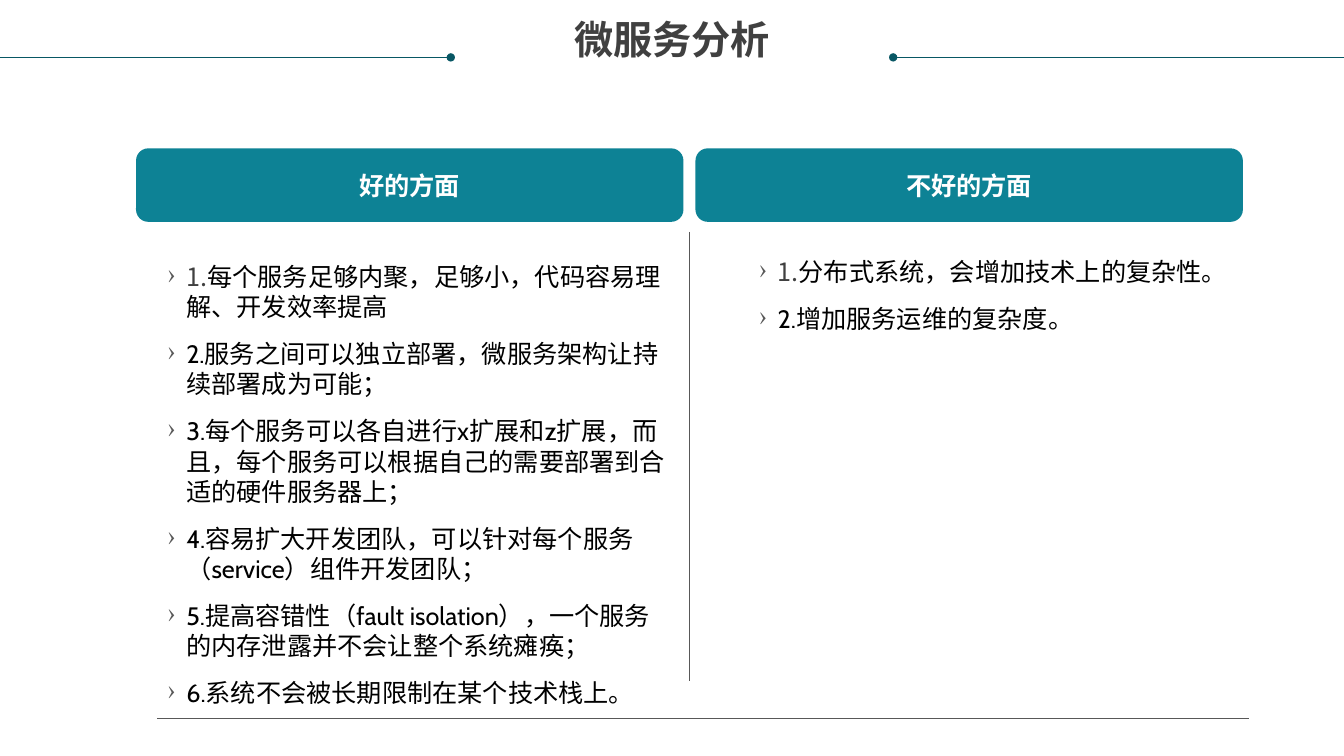
from lxml import etree
from pptx import Presentation
from pptx.dml.color import RGBColor
from pptx.enum.shapes import MSO_CONNECTOR, MSO_SHAPE
from pptx.enum.text import MSO_ANCHOR, PP_ALIGN
from pptx.oxml.ns import qn
from pptx.util import Pt

STRAIGHT = MSO_CONNECTOR.STRAIGHT
ROUND_RECT = MSO_SHAPE.ROUNDED_RECTANGLE
MIDDLE, CENTER = MSO_ANCHOR.MIDDLE, PP_ALIGN.CENTER

TEAL = RGBColor(0x0D, 0x82, 0x95)
DARK_TEAL = RGBColor(0x08, 0x57, 0x64)
GRAY = RGBColor(0x58, 0x58, 0x58)
DARK_GRAY = RGBColor(0x40, 0x40, 0x40)
BLACK = RGBColor(0, 0, 0)
WHITE = RGBColor(0xFF, 0xFF, 0xFF)

CJK_FONT, BODY_FONT = "Noto Sans CJK SC", "Cabin"
SLIDE_W, SLIDE_H = 960, 540
RULE_Y, RULE_W = 41, 322
HEADER_X, HEADER_Y, HEADER_W, HEADER_H = 97.2, 106, 391, 52.5
HEADER_STEP = 399.6
BODY_Y = 183

HEADERS = ["好的方面", "不好的方面"]
GOOD = [
    "每个服务足够内聚，足够小，代码容易理解、开发效率提高",
    "服务之间可以独立部署，微服务架构让持续部署成为可能；",
    "每个服务可以各自进行x扩展和z扩展，而且，每个服务可以根据自己的需要部署到合适的硬件服务器上；",
    "容易扩大开发团队，可以针对每个服务（service）组件开发团队；",
    "提高容错性（fault isolation），一个服务的内存泄露并不会让整个系统瘫痪；",
    "系统不会被长期限制在某个技术栈上。",
]
BAD = ["分布式系统，会增加技术上的复杂性。", "增加服务运维的复杂度。"]


class Deck:
    def __init__(self):
        self.prs = Presentation()
        self.prs.slide_width, self.prs.slide_height = Pt(SLIDE_W), Pt(SLIDE_H)
        self.s = self.prs.slides.add_slide(self.prs.slide_layouts[6])

    def style(self, r, size, color, font=CJK_FONT, bold=False):
        r.font.size, r.font.bold, r.font.name = Pt(size), bold, font
        r.font.color.rgb = color
        ea = etree.SubElement(r.font._element, qn("a:ea"))
        ea.set("typeface", font)

    def line(self, x1, y1, x2, y2, color, dot=None):
        """Draw a thin line; dot is headEnd or tailEnd for a round end."""
        c = self.s.shapes.add_connector(STRAIGHT, Pt(x1), Pt(y1), Pt(x2), Pt(y2))
        c.line.color.rgb, c.line.width = color, Pt(0.5)
        if dot:
            etree.SubElement(c.line._get_or_add_ln(), qn("a:" + dot)).set("type", "oval")
        etree.SubElement(c._element.spPr, qn("a:effectLst"))

    def header(self, x, text):
        sp = self.s.shapes.add_shape(ROUND_RECT, Pt(x), Pt(HEADER_Y), Pt(HEADER_W), Pt(HEADER_H))
        sp.shadow.inherit = False
        sp.fill.solid()
        sp.fill.fore_color.rgb = TEAL
        sp.line.fill.background()
        tf = sp.text_frame
        tf.text, tf.vertical_anchor = text, MIDDLE
        p = tf.paragraphs[0]
        p.alignment = CENTER
        self.style(p.runs[0], 18, WHITE, bold=True)

    def textbox(self, x, y, w, h, inset=True):
        tf = self.s.shapes.add_textbox(Pt(x), Pt(y), Pt(w), Pt(h)).text_frame
        tf.word_wrap = True
        if not inset:
            tf.margin_left = tf.margin_top = tf.margin_right = tf.margin_bottom = 0
        return tf

    def title(self, text):
        tf = self.textbox(18, 15, 924, 122, inset=False)
        tf.text = text
        p = tf.paragraphs[0]
        p.alignment, p.line_spacing = CENTER, 0.9
        self.style(p.runs[0], 28, DARK_GRAY, bold=True)

    def bullet(self, p):
        p.space_before = Pt(12)
        pPr = p._p.get_or_add_pPr()
        pPr.set("marL", str(Pt(13.5)))
        pPr.set("indent", str(-Pt(13.5)))
        clr = etree.SubElement(pPr, qn("a:buClr"))
        etree.SubElement(clr, qn("a:srgbClr")).set("val", str(GRAY))
        etree.SubElement(pPr, qn("a:buChar")).set("char", "›")

    def points(self, x, w, h, items, inset=True):
        tf = self.textbox(x, BODY_Y, w, h, inset)
        for i, item in enumerate(items, 1):
            p = tf.paragraphs[0] if i == 1 else tf.add_paragraph()
            if i == 1:
                p.text = "1."
                self.style(p.runs[0], 18, DARK_GRAY)
                r = p.add_run()
                r.text = item
            else:
                p.text = f"{i}.{item}"
            self.style(p.runs[-1], 18, BLACK, BODY_FONT)
            self.bullet(p)


def main():
    deck = Deck()
    deck.line(SLIDE_W - RULE_W, RULE_Y, SLIDE_W, RULE_Y, DARK_TEAL, "headEnd")
    deck.title("微服务分析")
    deck.line(0, RULE_Y, RULE_W, RULE_Y, DARK_TEAL, "tailEnd")
    for i, text in enumerate(HEADERS):
        deck.header(HEADER_X + i * HEADER_STEP, text)
    deck.line(112.5, 513, 892, 513, GRAY)
    deck.line(492.5, 165.6, 492.5, 486.7, GRAY)
    deck.points(542, 327.6, 119, BAD, inset=False)
    deck.points(112.5, 375, 330, GOOD)
    deck.prs.save("out.pptx")


if __name__ == "__main__":
    main()
